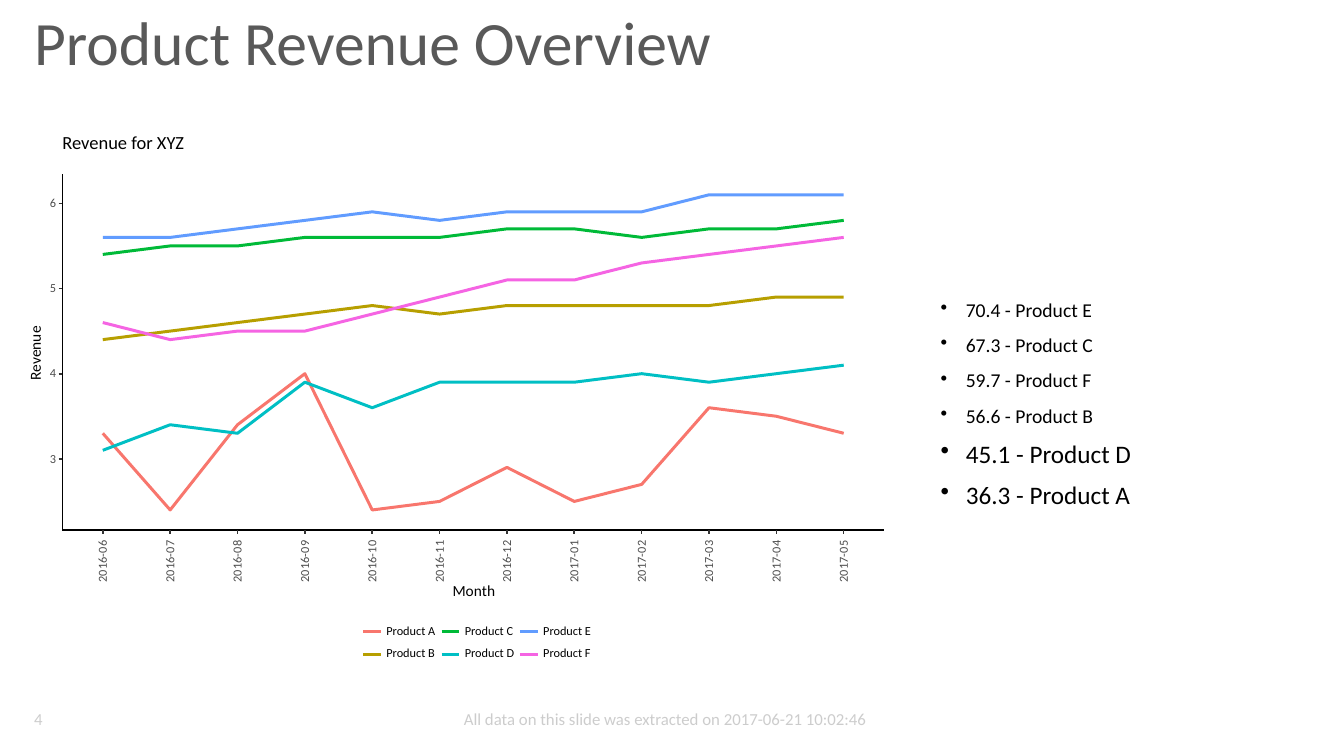
import lxml.etree
import pptx
import pptx.chart.data
import pptx.dml.color
import pptx.enum.chart
import pptx.enum.shapes
import pptx.enum.text
import pptx.oxml
import pptx.oxml.ns
import pptx.util

Pt = pptx.util.Pt
RGBColor = pptx.dml.color.RGBColor
Align = pptx.enum.text.PP_ALIGN
qn = pptx.oxml.ns.qn

BLACK = RGBColor(0x00, 0x00, 0x00)
GREY = RGBColor(0x59, 0x59, 0x59)
LABEL_GREY = RGBColor(0x4D, 0x4D, 0x4D)
TICK_GREY = RGBColor(0x33, 0x33, 0x33)
SALMON = RGBColor(0xF8, 0x76, 0x6D)
OLIVE = RGBColor(0xB7, 0x9F, 0x00)
GREEN = RGBColor(0x00, 0xBA, 0x38)
TEAL = RGBColor(0x00, 0xBF, 0xC4)
BLUE = RGBColor(0x61, 0x9C, 0xFF)
PINK = RGBColor(0xF5, 0x64, 0xE3)

MONTHS = [f"2016-{month:02}" for month in range(6, 13)] + [f"2017-{month:02}" for month in range(1, 6)]
PRODUCTS = [
    ("Product A", SALMON, (3.3, 2.4, 3.4, 4.0, 2.4, 2.5, 2.9, 2.5, 2.7, 3.6, 3.5, 3.3)),
    ("Product B", OLIVE, (4.4, 4.5, 4.6, 4.7, 4.8, 4.7, 4.8, 4.8, 4.8, 4.8, 4.9, 4.9)),
    ("Product C", GREEN, (5.4, 5.5, 5.5, 5.6, 5.6, 5.6, 5.7, 5.7, 5.6, 5.7, 5.7, 5.8)),
    ("Product D", TEAL, (3.1, 3.4, 3.3, 3.9, 3.6, 3.9, 3.9, 3.9, 4.0, 3.9, 4.0, 4.1)),
    ("Product E", BLUE, (5.6, 5.6, 5.7, 5.8, 5.9, 5.8, 5.9, 5.9, 5.9, 6.1, 6.1, 6.1)),
    ("Product F", PINK, (4.6, 4.4, 4.5, 4.5, 4.7, 4.9, 5.1, 5.1, 5.3, 5.4, 5.5, 5.6)),
]
TOTALS = [
    ("70.4 - Product E", 14), ("67.3 - Product C", 14), ("59.7 - Product F", 14),
    ("56.6 - Product B", 14), ("45.1 - Product D", 18), ("36.3 - Product A", 18),
]


class SlideBuilder:
    """Holds the style and the current slide."""

    font_name = "Calibri"
    axis_width = 1.07
    series_width = 2.13

    def __init__(self, slide):
        self.slide = slide

    def style_font(self, font, size, color):
        font.name = self.font_name
        font.size = Pt(size)
        font.color.rgb = color

    def text_box(self, left, top, width, height):
        box = self.slide.shapes.add_textbox(Pt(left), Pt(top), Pt(width), Pt(height))
        box.text_frame.word_wrap = True
        box.text_frame.vertical_anchor = pptx.enum.text.MSO_ANCHOR.MIDDLE
        return box

    def text(self, text, left, top, width, height, size, color=GREY, align=Align.LEFT, opacity=None):
        para = self.text_box(left, top, width, height).text_frame.paragraphs[0]
        para.text = text
        para.alignment = align
        self.style_font(para.font, size, color)
        if opacity:
            font = para.runs[0].font
            font.color.rgb = color
            solid = font.fill._xPr.find(qn("a:solidFill"))
            lxml.etree.SubElement(solid[0], qn("a:alpha")).set("val", str(opacity * 1000))
        return para

    def label(self, text, left, top, width, size, rotation=0):
        """Tight one-line label of the chart."""
        box = self.text_box(left, top, width, size * 0.7)
        box.rotation = rotation
        frame = box.text_frame
        frame.word_wrap = False
        frame.margin_left = frame.margin_right = frame.margin_top = frame.margin_bottom = 0
        para = frame.paragraphs[0]
        para.text = text
        para.line_spacing = Pt(size)
        self.style_font(para.font, size, BLACK)

    def bullets(self, items, left, top, width, height):
        frame = self.text_box(left, top, width, height).text_frame
        for index, (text, size) in enumerate(items):
            para = frame.add_paragraph() if index else frame.paragraphs[0]
            para.text = text
            para.line_spacing = 0.9
            para.space_before = Pt(10)
            self.style_font(para.font, size, BLACK)
            properties = para._p.get_or_add_pPr()
            properties.set("marL", str(Pt(18)))
            properties.set("indent", str(-Pt(18)))
            bullet = pptx.oxml.parse_xml(
                '<a:buChar xmlns:a="http://schemas.openxmlformats.org/drawingml/2006/main" char="•"/>')
            properties.find(qn("a:defRPr")).addprevious(bullet)

    def line(self, start, end, color, width):
        connector = self.slide.shapes.add_connector(
            pptx.enum.shapes.MSO_CONNECTOR.STRAIGHT, *map(Pt, start + end))
        connector.line.color.rgb = color
        connector.line.width = Pt(width)
        lxml.etree.SubElement(connector._element.spPr, qn("a:effectLst"))

    def style_axis(self, axis):
        """Labels only; the axis lines are drawn by axis_lines."""
        axis.has_major_gridlines = False
        axis.has_title = False
        axis.major_tick_mark = pptx.enum.chart.XL_TICK_MARK.OUTSIDE
        axis.minor_tick_mark = pptx.enum.chart.XL_TICK_MARK.NONE
        axis.format.line.fill.background()
        self.style_font(axis.tick_labels.font, 8.8, LABEL_GREY)

    def line_chart(self, months, products, frame, plot):
        data = pptx.chart.data.CategoryChartData(number_format="0.0")
        data.categories = months
        for name, color, values in products:
            data.add_series(name, values)
        chart = self.slide.shapes.add_chart(
            pptx.enum.chart.XL_CHART_TYPE.LINE, *map(Pt, frame), data).chart
        chart.has_title = False
        chart.has_legend = False
        self.style_font(chart.font, 8.8, LABEL_GREY)
        chart.plots[0].vary_by_categories = False
        for series, (name, color, values) in zip(chart.plots[0].series, products):
            series.smooth = False
            series.marker.style = pptx.enum.chart.XL_MARKER_STYLE.NONE
            series.format.line.color.rgb = color
            series.format.line.width = Pt(self.series_width)

        # Month labels read upwards, just below the lowest value
        value_axis = chart.value_axis
        self.style_axis(chart.category_axis)
        self.style_axis(value_axis)
        chart.category_axis._element.find(qn("c:txPr")).find(qn("a:bodyPr")).set("rot", "-5400000")
        value_axis.minimum_scale, value_axis.maximum_scale = 2, 6.34
        value_axis.major_unit = 1
        value_axis.crosses_at = 2.16
        value_axis.tick_labels.number_format = '[<3]"";0" "'
        value_axis.tick_labels.number_format_is_linked = False

        # Fixed plot area, as fractions of the chart frame
        area = chart._chartSpace.chart.plotArea
        for old in area.findall(qn("c:layout")):
            area.remove(old)
        layout = lxml.etree.Element(qn("c:layout"))
        manual = lxml.etree.SubElement(layout, qn("c:manualLayout"))
        left, top, width, height = frame
        settings = {
            "layoutTarget": "inner", "xMode": "edge", "yMode": "edge",
            "x": (plot[0] - left) / width, "y": (plot[1] - top) / height,
            "w": plot[2] / width, "h": plot[3] / height,
        }
        for tag, value in settings.items():
            lxml.etree.SubElement(manual, qn(f"c:{tag}")).set("val", str(value))
        area.insert(0, layout)

    def axis_lines(self, left, top, right, bottom, month_ticks, value_ticks, tick=2.7):
        self.line((left, bottom), (left, top), BLACK, self.axis_width)
        self.line((left, bottom), (right, bottom), BLACK, self.axis_width)
        for x in month_ticks:
            self.line((x, bottom + tick), (x, bottom), TICK_GREY, self.axis_width)
        for y in value_ticks:
            self.line((left - tick, y), (left, y), TICK_GREY, self.axis_width)

    def legend(self, products, left, top, column_step, row_step, rows=2):
        for index, (name, color, values) in enumerate(products):
            column, row = divmod(index, rows)
            x, y = left + column * column_step, top + row * row_step
            self.line((x, y), (x + 12.7, y), color, self.series_width)
            self.label(name, x + 16.6, y - 3.3, 38, 8.8)


deck = pptx.Presentation()
deck.slide_width, deck.slide_height = Pt(960), Pt(540)
page = SlideBuilder(deck.slides.add_slide(deck.slide_layouts[6]))

# Title
title = page.text("Product Revenue Overview", 17.3, 0, 915.8, 65.5, 44)
title.line_spacing = 0.9

# Revenue chart with its axes, titles and legend
page.line_chart(MONTHS, PRODUCTS, frame=(17.3, 92.9, 619.9, 393.1), plot=(49.4, 124.6, 577.4, 264.1))
page.axis_lines(44.6, 124.6, 631.4, 378.7,
                month_ticks=[73.5 + 48.1 * index for index in range(len(MONTHS))],
                value_ticks=[145.4 + 60.8 * index for index in range(4)])
page.label("Revenue for XYZ", 44.6, 97.9, 96, 13.2)
page.label("Month", 323.3, 419, 36, 11)
page.label("Revenue", 6.5, 248.4, 38.9, 11, rotation=270)
page.legend(PRODUCTS, left=259.4, top=451.4, column_step=56, row_step=15.9)

# Totals per product
page.bullets(TOTALS, 664.8, 92.9, 268.6, 393.1)

# Footer
page.text("All data on this slide was extracted on 2017-06-21 10:02:46",
          313.2, 499, 324, 28.8, 12, align=Align.CENTER, opacity=30)
page.text("4", 17.3, 499, 216, 28.8, 12, opacity=30)

deck.save("out.pptx")
